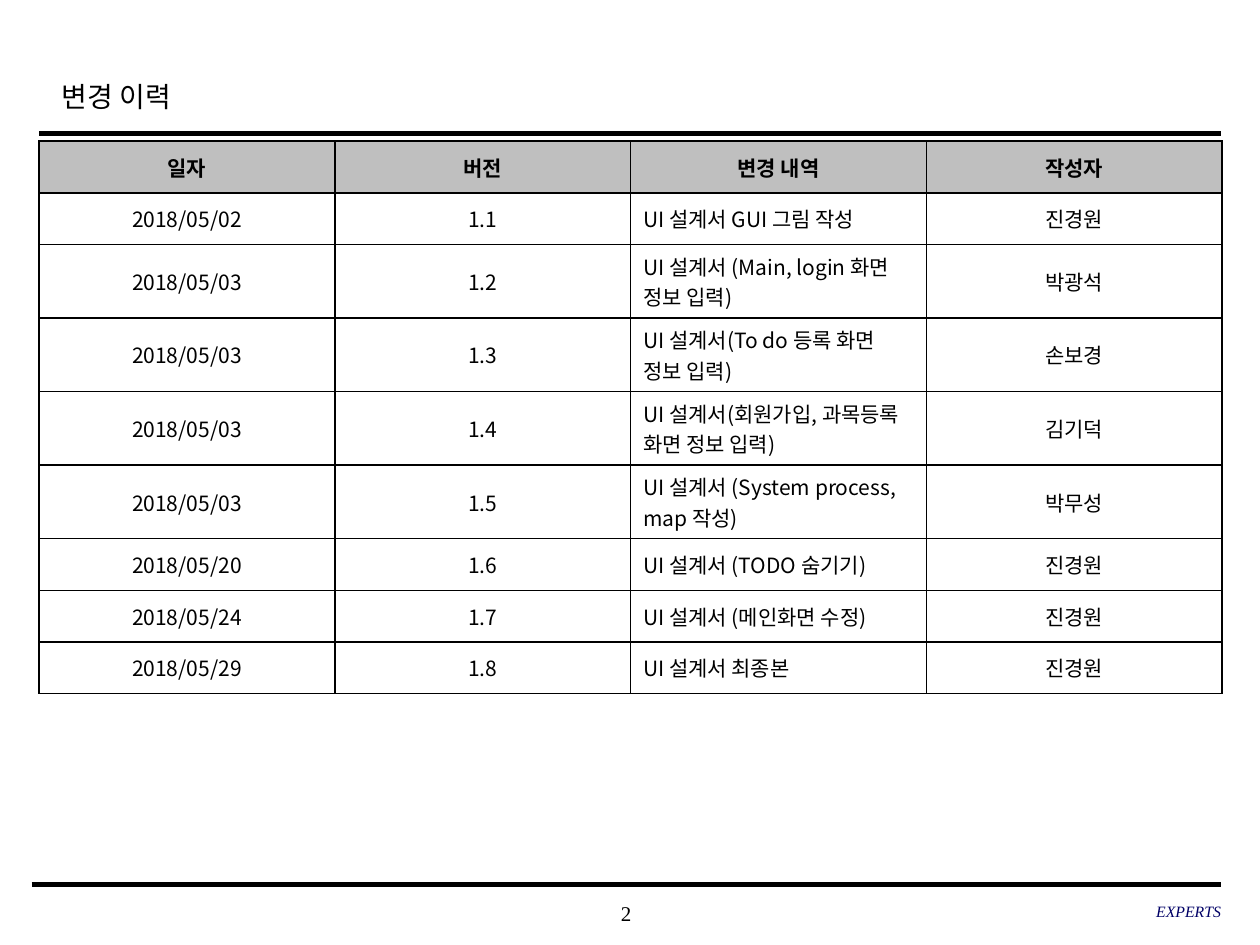
"""Build the change history slide with its version table."""
from lxml.etree import SubElement
from pptx import Presentation
from pptx.dml.color import RGBColor
from pptx.enum.shapes import MSO_CONNECTOR
from pptx.enum.text import MSO_ANCHOR, PP_ALIGN
from pptx.oxml import parse_xml
from pptx.oxml.ns import nsdecls, qn
from pptx.util import Inches, Pt

SERIF, SANS = "Times New Roman", "Noto Sans CJK KR"
LEFT, RIGHT = 0.31, 9.69
HEAD = ["일자", "버전", "변경 내역", "작성자"]
LOG = [
    ("2018/05/02", "UI 설계서 GUI 그림 작성", "진경원"),
    ("2018/05/03", "UI 설계서 (Main, login 화면 정보 입력)", "박광석"),
    ("2018/05/03", "UI 설계서(To do 등록 화면 정보 입력)", "손보경"),
    ("2018/05/03", "UI 설계서(회원가입, 과목등록 화면 정보 입력)", "김기덕"),
    ("2018/05/03", "UI 설계서 (System process, map 작성)", "박무성"),
    ("2018/05/20", "UI 설계서 (TODO 숨기기)", "진경원"),
    ("2018/05/24", "UI 설계서 (메인화면 수정)", "진경원"),
    ("2018/05/29", "UI 설계서 최종본", "진경원"),
]


def tint(color, code):
    color.rgb = RGBColor.from_string(code)


def write(frame, text, size, face, align, code="000000", bold=False, slant=False):
    frame.word_wrap = True
    frame.vertical_anchor = MSO_ANCHOR.MIDDLE
    para = frame.paragraphs[0]
    para.alignment = align
    run = para.add_run()
    run.text = text
    font = run.font
    font.size, font.name, font.bold, font.italic = Pt(size), face, bold, slant
    tint(font.color, code)
    SubElement(run._r.get_or_add_rPr(), qn("a:ea"), typeface=SANS)


deck = Presentation()
deck.slide_width, deck.slide_height = Inches(10), Inches(7.5)
slide = deck.slides.add_slide(deck.slide_layouts[5])
shapes = slide.shapes

for start, y, width in [(LEFT, 1.06, 2.5), (0.25, 7.02, 3)]:
    rule = shapes.add_connector(
        MSO_CONNECTOR.STRAIGHT, Inches(start), Inches(y), Inches(RIGHT), Inches(y))
    tint(rule.line.color, "000000")
    rule.line.width = Pt(width)
    SubElement(rule._element.spPr, qn("a:effectLst"))

title = shapes.title
title.left, title.top = Inches(0.39), Inches(0.49)
title.width, title.height = Inches(7.55), Inches(0.5)
write(title.text_frame, "변경 이력", 16, SERIF, PP_ALIGN.LEFT)
title.text_frame.paragraphs[0].line_spacing = 1.2

rows = [HEAD] + [
    (day, f"1.{n}", note, name) for n, (day, note, name) in enumerate(LOG, 1)]
table = shapes.add_table(
    len(rows), len(HEAD), Inches(LEFT), Inches(1.12), Inches(9.39), Inches(4.04)).table
for r, row in enumerate(rows):
    table.rows[r].height = Inches(0.5 if 2 <= r <= 5 else 0.41)
    for c, text in enumerate(row):
        cell = table.cell(r, c)
        align = PP_ALIGN.LEFT if r and c == 2 else PP_ALIGN.CENTER
        write(cell.text_frame, text, 12, SANS, align, bold=r == 0)
        cell.vertical_anchor = MSO_ANCHOR.MIDDLE
        for side in "LRTB":
            cell._tc.get_or_add_tcPr().append(parse_xml(
                f'<a:ln{side} {nsdecls("a")} w="12700"><a:solidFill>'
                f'<a:srgbClr val="000000"/></a:solidFill></a:ln{side}>'))
        cell.fill.solid()
        tint(cell.fill.fore_color, "FFFFFF" if r else "BFBFBF")

for text, x, y, width, size, align, code, slant in [
    ("2", 3.93, 7.08, 2.08, 12, PP_ALIGN.CENTER, "000000", False),
    ("EXPERTS", 6.63, 7.07, 3.06, 9, PP_ALIGN.RIGHT, "000066", True),
]:
    box = shapes.add_textbox(Inches(x), Inches(y), Inches(width), Inches(0.33))
    frame = box.text_frame
    frame.margin_left = frame.margin_right = 0
    frame.margin_top = frame.margin_bottom = 0
    write(frame, text, size, SERIF, align, code, slant=slant)

deck.save("out.pptx")
